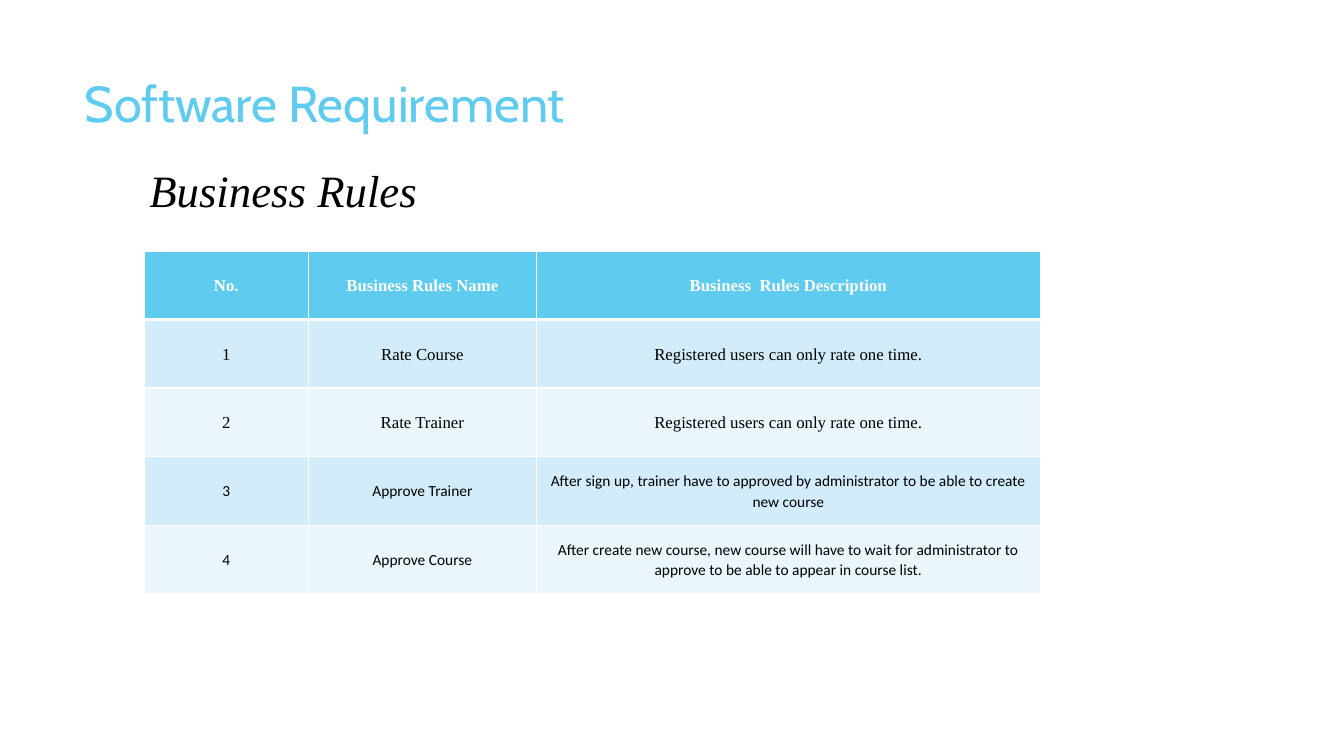
from lxml import etree
from pptx import Presentation
from pptx.dml.color import RGBColor
from pptx.enum.text import MSO_ANCHOR, MSO_AUTO_SIZE, PP_ALIGN
from pptx.oxml.ns import qn
from pptx.util import Inches, Pt

LEFT, CENTER = PP_ALIGN.LEFT, PP_ALIGN.CENTER
TOP, MIDDLE = MSO_ANCHOR.TOP, MSO_ANCHOR.MIDDLE
NO_FIT = MSO_AUTO_SIZE.NONE
SERIF = "Times New Roman"
BLUE, WHITE, BLACK = "5FCBEF", "FFFFFF", "000000"
BANDS = ["D2ECF9", "EAF6FC"]

WIDTHS = [1.63, 2.26, 5]
HIGH = 0.68
RULES = [
    ["No.", "Business Rules Name", "Business  Rules Description"],
    ["1", "Rate Course", "Registered users can only rate one time."],
    ["2", "Rate Trainer", "Registered users can only rate one time."],
    ["3", "Approve Trainer",
     "After sign up, trainer have to approved by administrator "
     "to be able to create new course"],
    ["4", "Approve Course",
     "After create new course, new course will have to wait for "
     "administrator to approve to be able to appear in course list."],
]


def color(code):
    return RGBColor.from_string(code)


def apply(item, style):
    for name, value in style.items():
        setattr(item, name, value)


class Page:
    head = {"name": SERIF, "size": Pt(12), "bold": True}
    body = {"name": SERIF, "size": Pt(12), "bold": False}
    small = {"name": "Calibri", "size": Pt(11), "bold": False}
    para = {"alignment": CENTER, "line_spacing": 1.07, "space_after": Pt(8)}
    cell = {"vertical_anchor": MIDDLE, "margin_left": Inches(0.07),
            "margin_right": Inches(0.07), "margin_top": 0, "margin_bottom": 0}
    frame = {"word_wrap": True, "auto_size": NO_FIT, "vertical_anchor": TOP}

    def __init__(self, deck):
        self.slide = deck.slides.add_slide(deck.slide_layouts[5])

    def label(self, frame, words, font, tint, para):
        line = frame.paragraphs[0]
        apply(line, para)
        run = line.add_run()
        run.text = words
        apply(run.font, font)
        run.font.color.rgb = color(tint)

    def title(self, words, box, font, tint):
        shape = self.slide.shapes.title
        names = ["left", "top", "width", "height"]
        apply(shape, dict(zip(names, map(Inches, box))))
        apply(shape.text_frame, self.frame)
        self.label(shape.text_frame, words, font, tint, {"alignment": LEFT})

    def text(self, words, box, font, tint):
        shape = self.slide.shapes.add_textbox(*map(Inches, box))
        apply(shape.text_frame, self.frame)
        self.label(shape.text_frame, words, font, tint, {"alignment": CENTER})

    def edge(self, cell, top, bottom):
        props = cell._tc.get_or_add_tcPr()
        sides = {"lnL": 1, "lnR": 1, "lnT": top, "lnB": bottom}
        for spot, (side, wide) in enumerate(sides.items()):
            line = etree.Element(qn("a:" + side), w=str(Pt(wide)))
            fill = etree.SubElement(line, qn("a:solidFill"))
            etree.SubElement(fill, qn("a:srgbClr"), val=WHITE)
            props.insert(spot, line)

    def table(self, rows, widths, high, left, top):
        size = map(Inches, [left, top, sum(widths), high * len(rows)])
        grid = self.slide.shapes.add_table(len(rows), len(widths), *size).table
        for col, wide in zip(grid.columns, widths):
            col.width = Inches(wide)
        for i, row in enumerate(rows):
            grid.rows[i].height = Inches(high)
            font = self.head if i == 0 else self.body if i < 3 else self.small
            tint = WHITE if i == 0 else BLACK
            fill = BLUE if i == 0 else BANDS[(i - 1) % 2]
            for j, words in enumerate(row):
                cell = grid.cell(i, j)
                apply(cell, self.cell)
                cell.fill.solid()
                cell.fill.fore_color.rgb = color(fill)
                self.edge(cell, 3 if i == 1 else 1, 3 if i == 0 else 1)
                self.label(cell.text_frame, words, font, tint, self.para)


def main():
    deck = Presentation()
    deck.slide_width, deck.slide_height = Inches(13.33), Inches(7.5)
    page = Page(deck)
    page.title("Software Requirement", [0.74, 0.67, 9.4, 1.44],
               {"name": "Cabin", "size": Pt(36)}, BLUE)
    page.text("Business Rules", [0.18, 1.57, 5.26, 0.64],
              {"name": SERIF, "size": Pt(32), "italic": True}, BLACK)
    page.table(RULES, WIDTHS, HIGH, 1.43, 2.49)
    deck.save("out.pptx")


if __name__ == "__main__":
    main()
